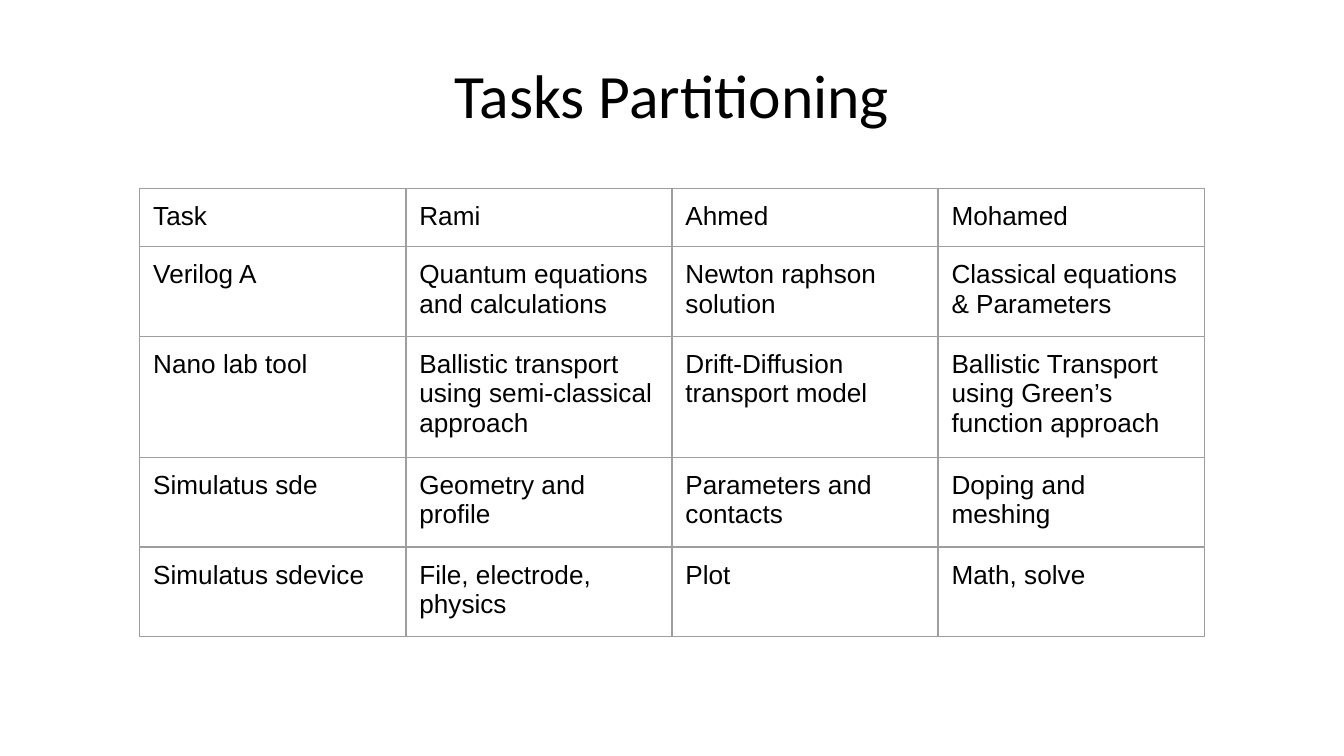
import pptx
import pptx.dml.color
import pptx.enum.text
import pptx.oxml.ns
import pptx.util
from lxml import etree

Inches = pptx.util.Inches
Pt = pptx.util.Pt
RGBColor = pptx.dml.color.RGBColor
qn = pptx.oxml.ns.qn

BLACK = RGBColor(0x00, 0x00, 0x00)
GRAY = RGBColor(0x9E, 0x9E, 0x9E)

TASKS = [
    ["Task", "Rami", "Ahmed", "Mohamed"],
    ["Verilog A", "Quantum equations and calculations",
     "Newton raphson solution", "Classical equations & Parameters"],
    ["Nano lab tool", "Ballistic transport using semi-classical approach",
     "Drift-Diffusion transport model",
     "Ballistic Transport using Green’s function approach"],
    ["Simulatus sde", "Geometry and profile",
     "Parameters and contacts", "Doping and meshing"],
    ["Simulatus sdevice", "File, electrode, physics", "Plot", "Math, solve"],
]


def style_font(font, name, size):
    font.name = name
    font.size = Pt(size)
    font.color.rgb = BLACK


def add_title(s, text, left, top, width, height):
    sp = s.shapes.add_textbox(Inches(left), Inches(top), Inches(width), Inches(height))
    tf = sp.text_frame
    tf.word_wrap = True
    tf.vertical_anchor = pptx.enum.text.MSO_ANCHOR.MIDDLE
    tf.margin_left = tf.margin_right = Inches(0.07)
    tf.margin_top = tf.margin_bottom = Inches(0.04)
    p = tf.paragraphs[0]
    p.text = text
    p.alignment = pptx.enum.text.PP_ALIGN.CENTER
    style_font(p.font, "Calibri", 33)


def set_borders(cell, color, width):
    tc_pr = cell._tc.get_or_add_tcPr()
    for i, side in enumerate(("a:lnL", "a:lnR", "a:lnT", "a:lnB")):
        ln = etree.Element(qn(side), w=str(Pt(width)))
        fill = etree.SubElement(ln, qn("a:solidFill"))
        etree.SubElement(fill, qn("a:srgbClr"), val=str(color))
        tc_pr.insert(i, ln)


def add_task_table(s, rows, left, top, width, row_height):
    n_cols = len(rows[0])
    table = s.shapes.add_table(
        len(rows), n_cols, Inches(left), Inches(top),
        Inches(width), Inches(row_height * len(rows))).table
    table.first_row = table.horz_banding = False
    for column in table.columns:
        column.width = Inches(width / n_cols)
    for row, texts in zip(table.rows, rows):
        row.height = Inches(row_height)
        for cell, text in zip(row.cells, texts):
            cell.fill.background()
            set_borders(cell, GRAY, 0.75)
            cell.margin_left = cell.margin_right = Inches(0.1)
            cell.margin_top = cell.margin_bottom = Inches(0.1)
            r = cell.text_frame.paragraphs[0].add_run()
            r.text = text
            style_font(r.font, "Arial", 14)


def main():
    prs = pptx.Presentation()
    prs.slide_width = Inches(10)
    prs.slide_height = Inches(10 * 9 / 16)
    s = prs.slides.add_slide(prs.slide_layouts[6])
    add_title(s, "Tasks Partitioning", 0.5, 0.23, 9, 0.94)
    add_task_table(s, TASKS, 1.04, 1.4, 7.92, 0.42)
    prs.save("out.pptx")


if __name__ == "__main__":
    main()
